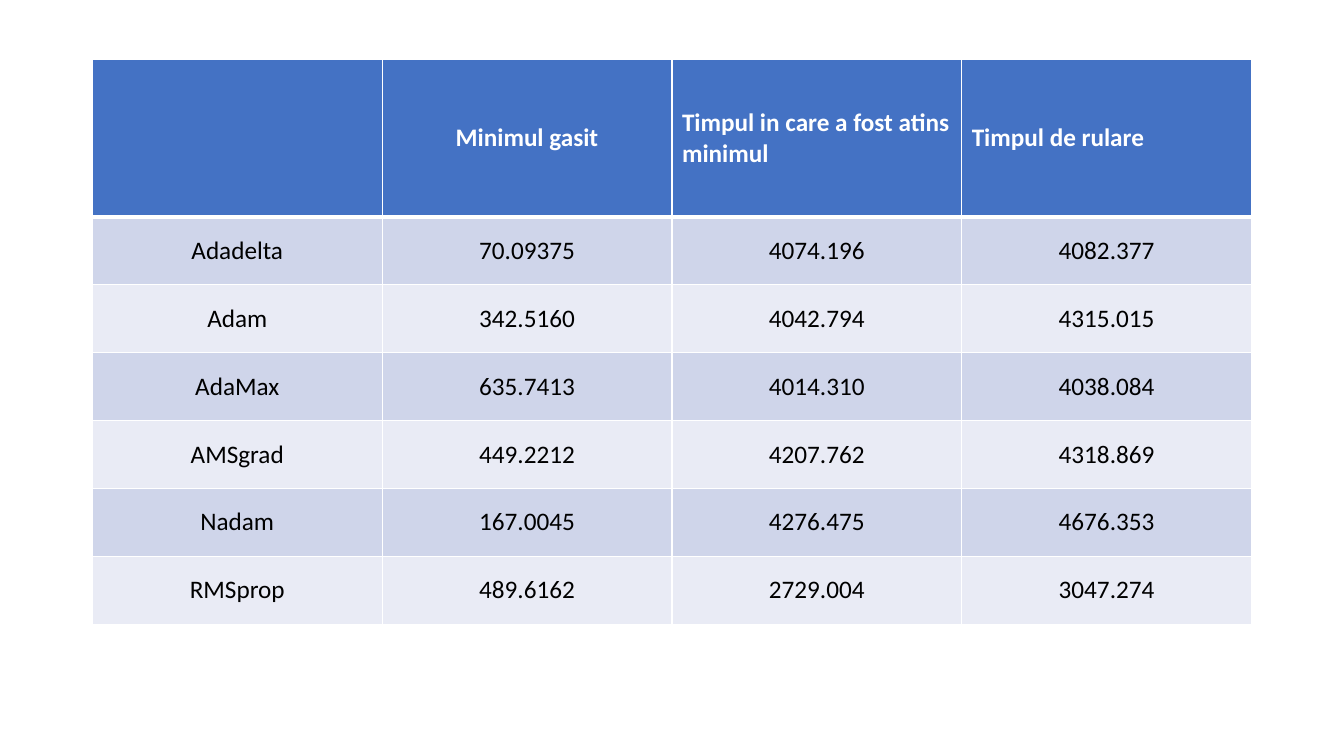
from lxml import etree
from pptx import Presentation
from pptx import util as u
from pptx.dml import color
from pptx.enum import text
from pptx.oxml import ns

PX = 6350
LEFT, TOP, COLUMN_WIDTH = 132, 85, 414
HEADER_HEIGHT, ROW_HEIGHT = 225, 97
WHITE, BLACK, HEADER_FILL = "FFFFFF", "000000", "4472C4"
BAND_FILLS = ("CFD5EA", "E9EBF5")
CENTER, START = text.PP_ALIGN.CENTER, text.PP_ALIGN.LEFT

HEADINGS = ("", "Minimul gasit", "Timpul in care a fost atins minimul", "Timpul de rulare")
HEADING_ALIGNMENTS = (CENTER, CENTER, START, START)
RESULTS = (
    ("Adadelta", "70.09375", "4074.196", "4082.377"),
    ("Adam", "342.5160", "4042.794", "4315.015"),
    ("AdaMax", "635.7413", "4014.310", "4038.084"),
    ("AMSgrad", "449.2212", "4207.762", "4318.869"),
    ("Nadam", "167.0045", "4276.475", "4676.353"),
    ("RMSprop", "489.6162", "2729.004", "3047.274"),
)


def px(length):
    """Turn a length in px into EMU."""
    return u.Emu(length * PX)


def rgb(value):
    """Turn a hex string into a colour."""
    return color.RGBColor.from_string(value)


def set_borders(cell, widths):
    """Draw white cell borders, with widths in points by side."""
    properties = cell._tc.get_or_add_tcPr()
    for side, width in widths.items():
        line = etree.SubElement(properties, ns.qn(f"a:ln{side}"), w=str(u.Pt(width)))
        fill = etree.SubElement(line, ns.qn("a:solidFill"))
        etree.SubElement(fill, ns.qn("a:srgbClr"), val=WHITE)


def write_cell(cell, words, alignment, fill, font_color, bold, borders):
    """Style one table cell and write its words."""
    set_borders(cell, borders)
    cell.fill.solid()
    cell.fill.fore_color.rgb = rgb(fill)
    cell.vertical_anchor = text.MSO_ANCHOR.MIDDLE
    if not words:
        return
    paragraph = cell.text_frame.paragraphs[0]
    paragraph.alignment = alignment
    run = paragraph.add_run()
    run.text = words
    run.font.name = "Calibri"
    run.font.size = u.Pt(18)
    run.font.bold = bold
    run.font.color.rgb = rgb(font_color)


def add_results_table(slide):
    """Add the table of optimizer results."""
    row_count, column_count = len(RESULTS) + 1, len(HEADINGS)
    height = HEADER_HEIGHT + ROW_HEIGHT * len(RESULTS)
    frame = slide.shapes.add_table(
        row_count, column_count, px(LEFT), px(TOP), px(COLUMN_WIDTH * column_count), px(height)
    )
    table = frame.table
    table.horz_banding = False
    for column in table.columns:
        column.width = px(COLUMN_WIDTH)
    for index, row in enumerate(table.rows):
        row.height = px(ROW_HEIGHT if index else HEADER_HEIGHT)

    thin = {"L": 1, "R": 1, "T": 1, "B": 1}
    for index, (heading, alignment) in enumerate(zip(HEADINGS, HEADING_ALIGNMENTS)):
        write_cell(table.cell(0, index), heading, alignment, HEADER_FILL, WHITE, True, {**thin, "B": 3})
    for row, result in enumerate(RESULTS, start=1):
        fill = BAND_FILLS[(row - 1) % 2]
        borders = {**thin, "T": 3} if row == 1 else thin
        for index, words in enumerate(result):
            write_cell(table.cell(row, index), words, CENTER, fill, BLACK, False, borders)


def main():
    """Build the slide and save it."""
    presentation = Presentation()
    presentation.slide_width, presentation.slide_height = px(1920), px(1080)
    slide = presentation.slides.add_slide(presentation.slide_layouts[6])
    add_results_table(slide)
    presentation.save("out.pptx")


if __name__ == "__main__":
    main()
